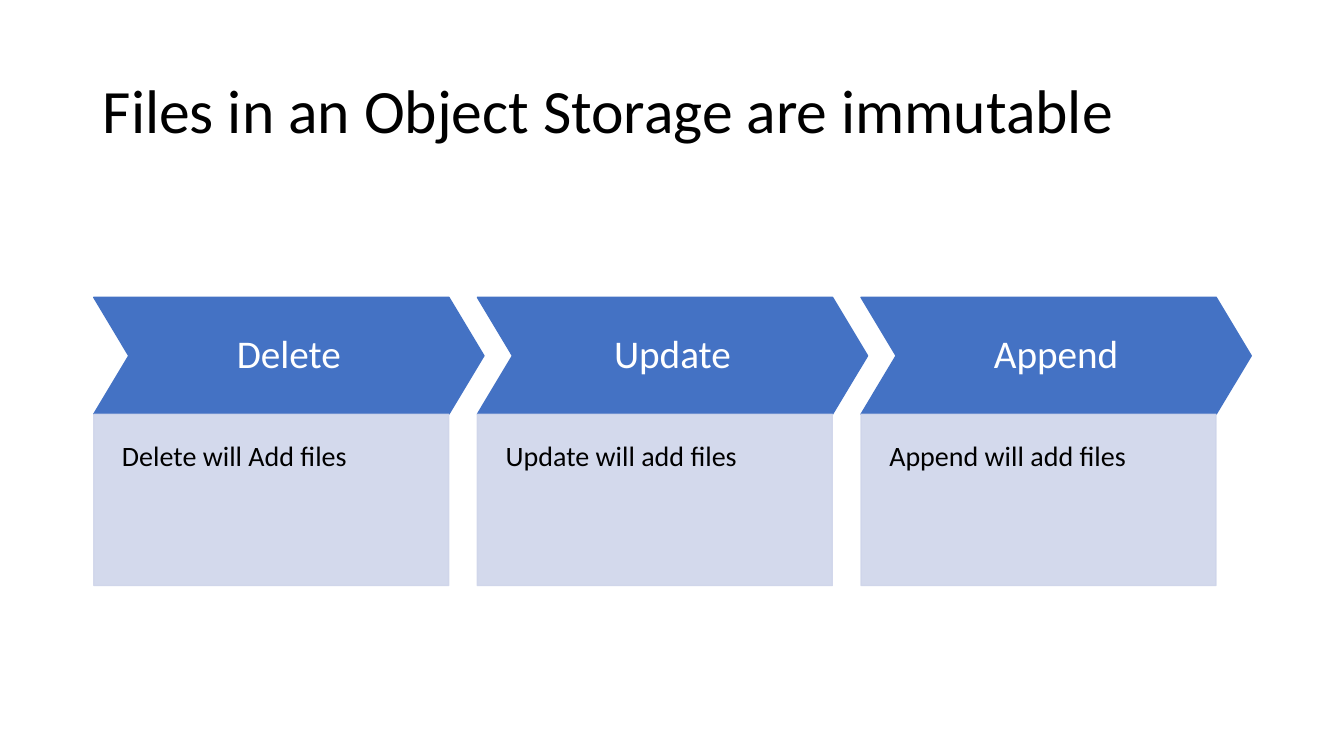
from dataclasses import dataclass

import pptx
import pptx.dml.color
import pptx.enum.shapes
import pptx.enum.text
import pptx.oxml
import pptx.oxml.ns
import pptx.util
from pptx.enum.shapes import MSO_SHAPE
from pptx.enum.text import MSO_ANCHOR, PP_ALIGN

FONT = "Calibri"
BLUE, PALE, BLACK, WHITE = "4472C4", "CFD5EA", "000000", "FFFFFF"
SLIDE_W, SLIDE_H = 13.33, 7.5

# Three equal columns between the outer edges, in inches
LEFT, RIGHT = 0.93, 12.41
CHEVRON_W, PANEL_W = 3.87, 3.52
CHEVRON_TOP, PANEL_TOP, PANEL_BOTTOM = 2.95, 4.11, 5.81


@dataclass(frozen=True)
class Operation:
    name: str
    effect: str


@dataclass(frozen=True)
class BoxStyle:
    shape: MSO_SHAPE
    fill: str
    opacity: int
    size: int
    color: str
    align: PP_ALIGN
    anchor: MSO_ANCHOR
    margins: tuple[float, float, float, float]


OPERATIONS = [
    Operation("Delete", "Delete will Add files"),
    Operation("Update", "Update will add files"),
    Operation("Append", "Append will add files"),
]
HEADING = BoxStyle(MSO_SHAPE.CHEVRON, BLUE, 100, 28, WHITE,
                   PP_ALIGN.CENTER, MSO_ANCHOR.MIDDLE, (0.14, 0.14, 0.14, 0.14))
PANEL = BoxStyle(MSO_SHAPE.RECTANGLE, PALE, 90, 20, BLACK,
                 PP_ALIGN.LEFT, MSO_ANCHOR.TOP, (0.28, 0.28, 0.28, 0.56))


def rgb(color: str) -> pptx.dml.color.RGBColor:
    return pptx.dml.color.RGBColor.from_string(color)


def inches(*values: float) -> list[pptx.util.Length]:
    return [pptx.util.Inches(v) for v in values]


def write(tf, text: str, size: int, color: str, align: PP_ALIGN, anchor: MSO_ANCHOR) -> None:
    tf.text = text
    tf.word_wrap = True
    tf.auto_size = pptx.enum.text.MSO_AUTO_SIZE.NONE
    tf.vertical_anchor = anchor
    p = tf.paragraphs[0]
    p.alignment = align
    p.line_spacing = 0.9
    font = p.runs[0].font
    font.name, font.size = FONT, pptx.util.Pt(size)
    font.color.rgb = rgb(color)


def set_opacity(sp, percent: int) -> None:
    """Apply the opacity to the shape's fill and outline."""
    for color in sp._element.spPr.iter(pptx.oxml.ns.qn("a:srgbClr")):
        alpha = pptx.oxml.parse_xml(
            f'<a:alpha {pptx.oxml.ns.nsdecls("a")} val="{percent * 1000}"/>')
        color.append(alpha)


def add_box(shapes, style: BoxStyle, text: str,
            left: float, top: float, width: float, height: float):
    sp = shapes.add_shape(style.shape, *inches(left, top, width, height))
    sp.shadow.inherit = False
    sp.fill.solid()
    sp.fill.fore_color.rgb = rgb(style.fill)
    sp.line.color.rgb = rgb(style.fill)
    sp.line.width = pptx.util.Pt(1)
    if style.opacity < 100:
        set_opacity(sp, style.opacity)
    tf = sp.text_frame
    tf.margin_left, tf.margin_top, tf.margin_right, tf.margin_bottom = inches(*style.margins)
    write(tf, text, style.size, style.color, style.align, style.anchor)
    return sp


def add_title(s, text: str) -> None:
    title = s.shapes.title
    title.left, title.top, title.width, title.height = inches(0.92, 0.4, 11.5, 1.45)
    write(title.text_frame, text, 44, BLACK, PP_ALIGN.LEFT, MSO_ANCHOR.MIDDLE)


def add_operations(s, operations: list[Operation]) -> None:
    shapes = s.shapes.add_group_shape().shapes
    pitch = (RIGHT - CHEVRON_W - LEFT) / (len(operations) - 1)
    for i, operation in enumerate(operations):
        left = LEFT + i * pitch
        chevron = add_box(shapes, HEADING, operation.name,
                          left, CHEVRON_TOP, CHEVRON_W, PANEL_TOP - CHEVRON_TOP)
        chevron.adjustments[0] = 0.3
        add_box(shapes, PANEL, operation.effect,
                left, PANEL_TOP, PANEL_W, PANEL_BOTTOM - PANEL_TOP)


def main() -> None:
    prs = pptx.Presentation()
    prs.slide_width, prs.slide_height = inches(SLIDE_W, SLIDE_H)
    s = prs.slides.add_slide(prs.slide_layouts.get_by_name("Title Only"))
    add_title(s, "Files in an Object Storage are immutable")
    add_operations(s, OPERATIONS)
    prs.save("out.pptx")


if __name__ == "__main__":
    main()
